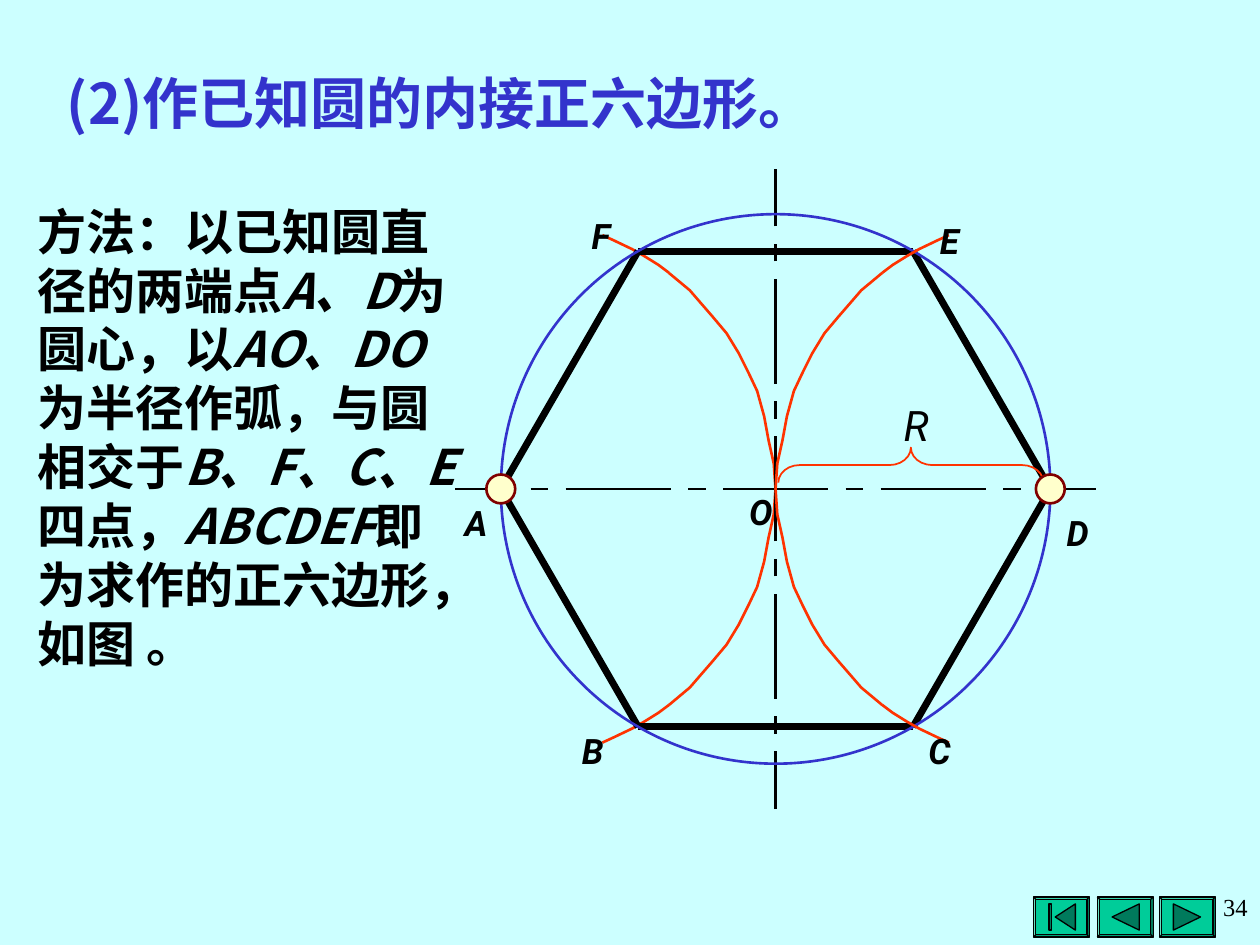
from math import cos, pi, sin
from pptx import Presentation
from pptx.dml.color import RGBColor
from pptx.enum.shapes import MSO_CONNECTOR, MSO_SHAPE
from pptx.enum.text import MSO_ANCHOR, MSO_AUTO_SIZE, PP_ALIGN
from pptx.oxml.ns import qn
from pptx.util import Pt

CHINESE, LATIN, SERIF = "Noto Sans CJK SC", "Roboto", "Times New Roman"
BLACK, BLUE, RED, GREEN = "000000", "3333CC", "FF3300", "00CC99"
CENTER_X, CENTER_Y, RADIUS = 443.2, 279.4, 157
DASHES = [33, 10, 60, 10, 60, 10, 60, 10, 33]
DASH_GAP = 10
INNER_ARC = [(0, 0), (1, 14.5), (4, 28), (6.5, 41.5), (10.5, 56), (15.5, 66.5),
             (21, 77.5), (28, 89), (36, 98.5), (42.5, 106), (49, 113.5), (61, 123.5)]
OUTER_ARC = [(61, 123.5), (67, 128), (75, 133), (82, 137), (92.5, 142), (99, 145)]


def color(value):
    return RGBColor.from_string(value)


def style_shape(shape, fill=None, line=None, width=1.5):
    shape.shadow.inherit = False
    if fill:
        shape.fill.solid()
        shape.fill.fore_color.rgb = color(fill)
    else:
        shape.fill.background()
    shape.line.color.rgb = color(line)
    shape.line.width = Pt(width)


def write_text(shape, *parts, size=20, font=LATIN, fill=BLACK, bold=False,
               align=PP_ALIGN.LEFT, anchor=MSO_ANCHOR.TOP, wrap=True, spacing=None):
    frame = shape.text_frame
    frame.word_wrap = wrap
    frame.auto_size = MSO_AUTO_SIZE.NONE
    frame.vertical_anchor = anchor
    paragraph = frame.paragraphs[0]
    paragraph.alignment = align
    paragraph.line_spacing = spacing
    for text, italic in parts:
        run = paragraph.add_run()
        run.text = text
        run.font.size = Pt(size)
        run.font.name = font
        run.font.bold = bold
        run.font.italic = italic
        run.font.color.rgb = color(fill)
        properties = run._r.get_or_add_rPr()
        east_asian = properties.makeelement(qn("a:ea"), {"typeface": font})
        properties.find(qn("a:latin")).addnext(east_asian)


def add_text(shapes, box, *parts, **text_format):
    shape = shapes.add_textbox(*map(Pt, box))
    write_text(shape, *parts, **text_format)


def add_preset(shapes, preset, box, **style):
    shape = shapes.add_shape(preset, *map(Pt, box))
    style_shape(shape, **style)
    return shape


def add_line(shapes, start, end, width):
    line = shapes.add_connector(MSO_CONNECTOR.STRAIGHT, *map(Pt, (*start, *end)))
    line.line.color.rgb = color(BLACK)
    line.line.width = Pt(width)
    properties = line._element.spPr
    properties.append(properties.makeelement(qn("a:effectLst"), {}))


def add_outline(shapes, points, close=False, **style):
    corners = [(Pt(x), Pt(y)) for x, y in points]
    builder = shapes.build_freeform(*corners[0])
    builder.add_line_segments(corners[1:], close=close)
    style_shape(builder.convert_to_shape(), **style)


def add_arcs(shapes, side):
    for direction in (-1, 1):
        for arc in (INNER_ARC, OUTER_ARC):
            points = [(CENTER_X + side * x, CENTER_Y + direction * y) for x, y in arc]
            add_outline(shapes, points, line=RED)


def add_center_lines(shapes):
    length = sum(DASHES) + DASH_GAP * (len(DASHES) - 1)
    horizontal = shapes.add_group_shape().shapes
    vertical = shapes.add_group_shape().shapes
    offset = -length / 2
    for dash in DASHES:
        end = offset + dash
        add_line(horizontal, (CENTER_X + offset, CENTER_Y), (CENTER_X + end, CENTER_Y), 1.5)
        add_line(vertical, (CENTER_X, CENTER_Y - offset), (CENTER_X, CENTER_Y - end), 1.5)
        offset = end + DASH_GAP


def add_hexagon(shapes):
    corners = [(CENTER_X + RADIUS * cos(k * pi / 3), CENTER_Y + RADIUS * sin(k * pi / 3))
               for k in range(6)]
    for start, end in zip(corners, corners[1:] + corners[:1]):
        add_line(shapes, start, end, 4)


def add_circle(shapes, x, y, radius, **style):
    box = (x - radius, y - radius, 2 * radius, 2 * radius)
    add_preset(shapes, MSO_SHAPE.OVAL, box, **style)


def add_radius_mark(shapes):
    group = shapes.add_group_shape().shapes
    brace = add_preset(group, MSO_SHAPE.RIGHT_BRACE, (510.5, 190, 20, 151.5), line=RED, width=1)
    brace.adjustments[0] = 0.61
    brace.rotation = 270
    add_text(group, (483, 224.5, 81, 36), ("R", True), size=24, align=PP_ALIGN.CENTER)


def add_button(shapes, left, icon):
    bevel = add_preset(shapes, MSO_SHAPE.BEVEL, (left, 512.5, 32, 23),
                       fill=GREEN, line=BLACK, width=0.75)
    bevel.adjustments[0] = 0.06
    for outline in icon:
        points = [(left + x, 512.5 + y) for x, y in outline]
        add_outline(shapes, points, close=True, fill="007A5C", line=BLACK, width=0.75)


def main():
    presentation = Presentation()
    presentation.slide_width, presentation.slide_height = Pt(720), Pt(540)
    slide = presentation.slides.add_slide(presentation.slide_layouts[5])
    slide.background.fill.solid()
    slide.background.fill.fore_color.rgb = color("CCFFFF")
    shapes = slide.shapes

    title = shapes.title
    title.left, title.top, title.width, title.height = map(Pt, (31, 43, 487.5, 45.5))
    write_text(title, ("(2)作已知圆的内接正六边形。", False),
               size=32, font=CHINESE, fill=BLUE, bold=True, spacing=0.8)

    back = [(8.5, 11.5), (24, 4), (24, 19)]
    first = [(12.5, 11.5), (24, 4), (24, 19)]
    bar = [(9, 4), (10.5, 4), (10.5, 19), (9, 19)]
    forward = [(8, 4), (23.5, 11.5), (8, 19)]
    for left, icon in ((662.5, [forward]), (627, [back]), (590.5, [first, bar])):
        add_button(shapes, left, icon)

    add_arcs(shapes, -1)
    add_center_lines(shapes)
    add_hexagon(shapes)
    add_radius_mark(shapes)
    add_circle(shapes, CENTER_X, CENTER_Y, RADIUS, line=BLUE)
    add_arcs(shapes, 1)
    for side in (1, -1):
        add_circle(shapes, CENTER_X + side * RADIUS, CENTER_Y, 8.25, fill="FFFFCC", line="800000")

    add_text(shapes, (14.5, 111.5, 260.5, 276.5),
             ("方法：以已知圆直径的两端点", False), ("A、D", True),
             ("为圆心，以", False), ("AO、DO", True),
             ("为半径作弧，与圆相交于", False), ("B、F、C、E", True),
             ("四点，", False), ("ABCDEF", True),
             ("即为求作的正六边形，如图 。", False),
             size=28, font=CHINESE, bold=True)
    labels = {"E": (530, 122), "C": (523.5, 413.5), "O": (421, 277), "F": (331, 119),
              "B": (325.5, 413.5), "D": (602.5, 288.5), "A": (258.5, 283)}
    for letter, (left, top) in labels.items():
        add_text(shapes, (left, top, 28, 31.5), (letter, True), bold=True, wrap=False)
    add_text(shapes, (538.5, 506, 181.5, 44), ("34", False),
             size=14, font=SERIF, align=PP_ALIGN.RIGHT)
    presentation.save("out.pptx")


if __name__ == "__main__":
    main()
